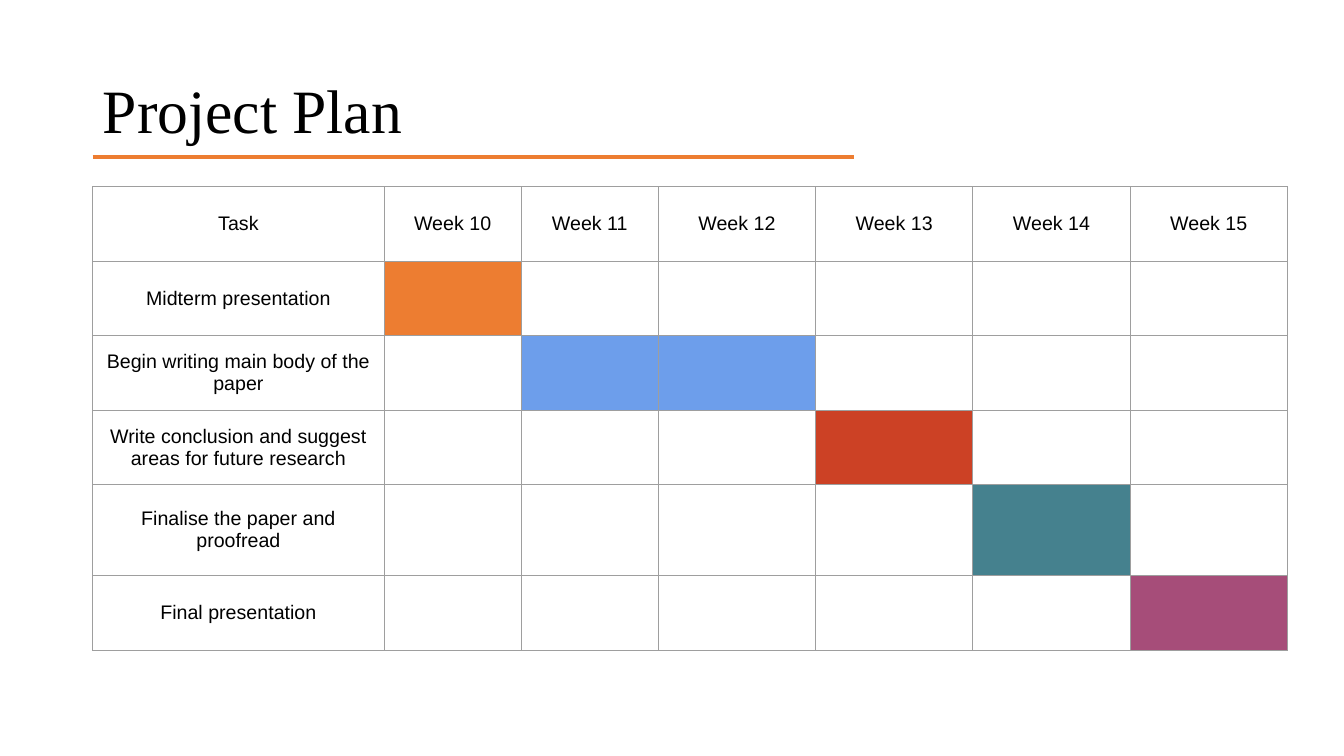
from lxml.etree import SubElement
from pptx import Presentation
from pptx.dml.color import RGBColor
from pptx.enum.shapes import MSO_CONNECTOR
from pptx.enum.text import MSO_ANCHOR, MSO_AUTO_SIZE, PP_ALIGN
from pptx.oxml.ns import qn
from pptx.util import Pt

SCALE = 9144
HUES = {
    "ink": "000000", "grid": "9E9E9E", "orange": "ED7D31", "blue": "6D9EEB",
    "red": "CC4125", "teal": "45818E", "plum": "A64D79",
}
LEFT = 92
WIDTHS = [289, 136, 136, 156, 156, 156, 156]
HEIGHTS = [74, 74, 74, 74, 90, 74]
WEEKS = range(10, 16)
TASKS = [
    ("Midterm presentation", "orange", [10]),
    ("Begin writing main body of the paper", "blue", [11, 12]),
    ("Write conclusion and suggest areas for future research", "red", [13]),
    ("Finalise the paper and proofread", "teal", [14]),
    ("Final presentation", "plum", [15]),
]


def px(count):
    return count * SCALE


def apply(target, values):
    for name, value in values.items():
        setattr(target, name, value)


class Deck:
    """Holds the style and the current slide and draws its elements."""

    def __init__(self, width, height):
        self.show = Presentation()
        apply(self.show, {"slide_width": px(width), "slide_height": px(height)})
        self.slide = self.show.slides.add_slide(self.show.slide_layouts[5])
        self.heading = {"name": "Times New Roman", "size": Pt(44)}
        self.body = {"name": "Arial", "size": Pt(14)}
        self.inset = {
            f"margin_{side}": px(10) for side in ("left", "top", "right", "bottom")
        }

    def color(self, hue):
        return RGBColor.from_string(HUES[hue])

    def label(self, frame, text, font, align):
        frame.text = text
        line = frame.paragraphs[0]
        line.alignment = align
        apply(line.runs[0].font, font)
        line.runs[0].font.color.rgb = self.color("ink")
        return line

    def title(self, text, left, top, width, height):
        shape = self.slide.shapes.title
        apply(shape, {"left": px(left), "top": px(top),
                      "width": px(width), "height": px(height)})
        frame = shape.text_frame
        apply(frame, {"vertical_anchor": MSO_ANCHOR.MIDDLE, "word_wrap": True,
                      "auto_size": MSO_AUTO_SIZE.NONE})
        line = self.label(frame, text, self.heading, PP_ALIGN.LEFT)
        line.line_spacing = 0.9

    def rule(self, left, right, top, hue, weight):
        line = self.slide.shapes.add_connector(
            MSO_CONNECTOR.STRAIGHT, px(left), px(top), px(right), px(top))
        line.line.color.rgb = self.color(hue)
        line.line.width = Pt(weight)
        SubElement(line._element.spPr, qn("a:effectLst"))

    def border(self, cell, hue, weight):
        props = cell._tc.get_or_add_tcPr()
        for spot, side in enumerate(("lnL", "lnR", "lnT", "lnB")):
            edge = props.makeelement(qn(f"a:{side}"), {"w": str(Pt(weight))})
            fill = SubElement(edge, qn("a:solidFill"))
            SubElement(fill, qn("a:srgbClr"), val=HUES[hue])
            props.insert(spot, edge)

    def cell(self, cell, text, hue):
        apply(cell, {"vertical_anchor": MSO_ANCHOR.MIDDLE, **self.inset})
        if text:
            self.label(cell.text_frame, text, self.body, PP_ALIGN.CENTER)
        if hue:
            cell.fill.solid()
            cell.fill.fore_color.rgb = self.color(hue)
        else:
            cell.fill.background()
        self.border(cell, "grid", 0.75)

    def table(self, rows, left, top, widths, heights):
        table = self.slide.shapes.add_table(
            len(heights), len(widths), px(left), px(top),
            px(sum(widths)), px(sum(heights))).table
        apply(table, {"first_row": False, "horz_banding": False})
        for column, width in zip(table.columns, widths):
            column.width = px(width)
        for row, height, cells in zip(table.rows, heights, rows):
            row.height = px(height)
            for cell, (text, hue) in zip(row.cells, cells):
                self.cell(cell, text, hue)


def main():
    deck = Deck(1333, 750)
    deck.title("Project Plan", LEFT, 40, 1150, 145)
    deck.rule(LEFT, 847, 156, "orange", 3)
    rows = [[("Task", None)] + [(f"Week {week}", None) for week in WEEKS]]
    for task, hue, span in TASKS:
        bars = [("", hue if week in span else None) for week in WEEKS]
        rows.append([(task, None)] + bars)
    deck.table(rows, LEFT, 185, WIDTHS, HEIGHTS)
    deck.show.save("out.pptx")


if __name__ == "__main__":
    main()
